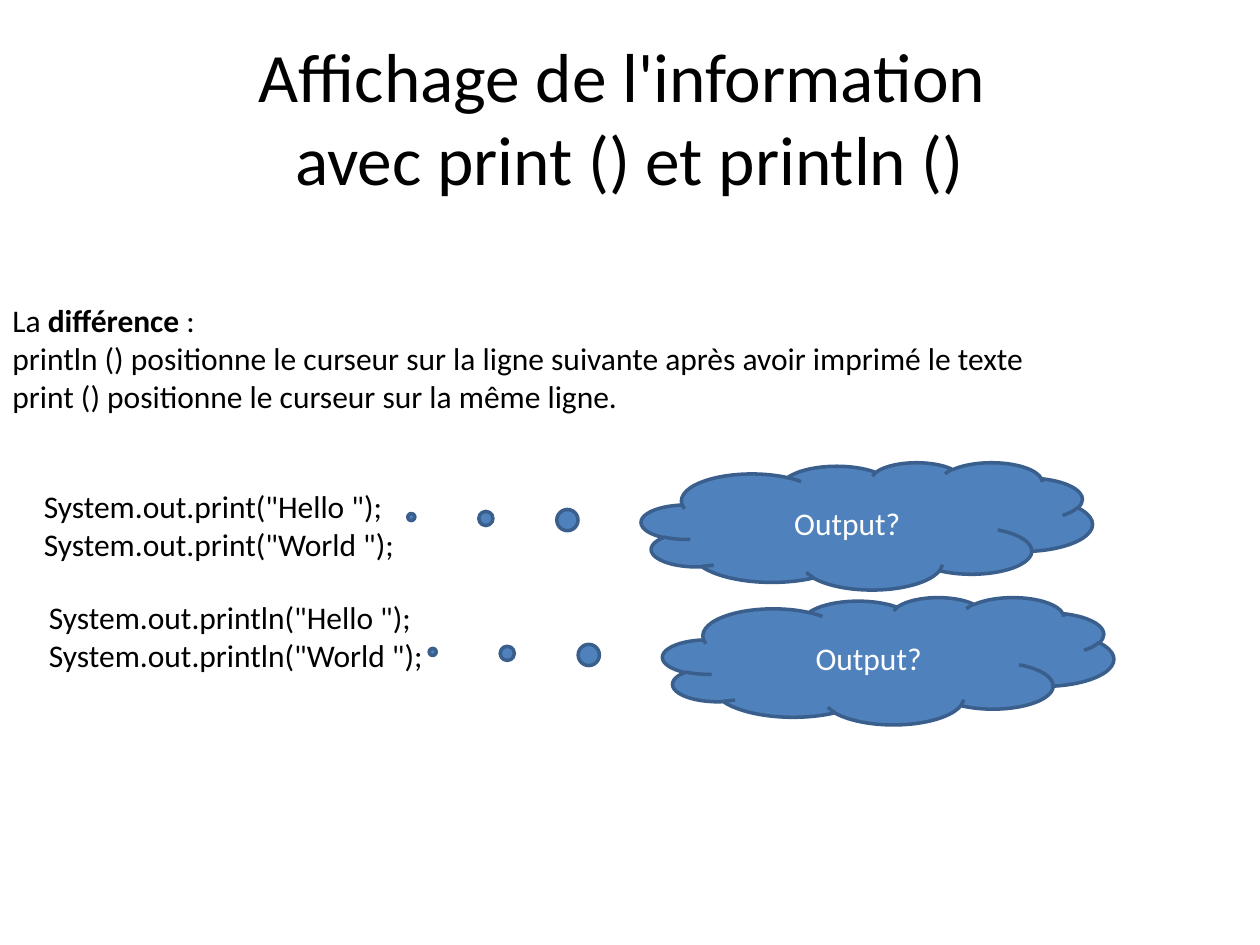
"""Build a slide that compares print and println."""
from pptx import Presentation
from pptx.dml.color import RGBColor as RGB
from pptx.enum.shapes import MSO_SHAPE as Kind
from pptx.enum.text import MSO_ANCHOR as Anchor, MSO_AUTO_SIZE as Auto, PP_ALIGN as Align
from pptx.util import Inches, Pt

BLACK = RGB(0, 0, 0)
WHITE = RGB(255, 255, 255)
BLUE = RGB(0x4F, 0x81, 0xBD)
NAVY = RGB(0x3A, 0x5F, 0x8C)


class Page:
    """Hold the style and the slide; lengths are percent of the slide."""

    font = "Calibri"
    size = 18

    def __init__(self, deck):
        self.deck = deck
        self.slide = deck.slides.add_slide(deck.slide_layouts[5])

    def area(self, left, top, width, height):
        wide, high = self.deck.slide_width, self.deck.slide_height
        return [int(part * side / 100) for part, side in
                zip((left, top, width, height), (wide, high, wide, high))]

    def style(self, frame, color=BLACK, size=size, align=Align.LEFT):
        frame.word_wrap = True
        for para in frame.paragraphs:
            para.alignment = align
            for run in para.runs:
                run.font.name = self.font
                run.font.size = Pt(size)
                run.font.color.rgb = color

    def title(self, text, *spot):
        head = self.slide.shapes.title
        head.left, head.top, head.width, head.height = self.area(*spot)
        frame = head.text_frame
        frame.text = text
        frame.vertical_anchor = Anchor.MIDDLE
        frame.auto_size = Auto.NONE
        self.style(frame, size=39.6, align=Align.CENTER)

    def text(self, text, *spot):
        frame = self.slide.shapes.add_textbox(*self.area(*spot)).text_frame
        frame.text = text
        frame.auto_size = Auto.SHAPE_TO_FIT_TEXT
        self.style(frame)
        return frame

    def lead(self, start, strong, end, *spot):
        frame = self.text(start, *spot)
        para = frame.paragraphs[0]
        bold = para.add_run()
        bold.text = strong
        bold.font.bold = True
        first, *rest = end
        para.add_run().text = first
        for line in rest:
            frame.add_paragraph().text = line
        self.style(frame)

    def cloud(self, text, *spot):
        shape = self.slide.shapes.add_shape(Kind.CLOUD_CALLOUT, *self.area(*spot))
        shape.adjustments[0] = -1.01
        shape.adjustments[1] = -0.07
        shape.shadow.inherit = False
        shape.fill.solid()
        shape.fill.fore_color.rgb = BLUE
        shape.line.color.rgb = NAVY
        shape.line.width = Pt(2)
        frame = shape.text_frame
        frame.text = text
        frame.vertical_anchor = Anchor.MIDDLE
        self.style(frame, WHITE, align=Align.CENTER)


deck = Presentation()
deck.slide_width, deck.slide_height = Inches(10), Inches(7.5)
page = Page(deck)
page.title("Affichage de l'information \vavec print () et println ()", 5, 4, 90, 16.67)
page.lead("La ", "différence", (
    " : ",
    "println () positionne le curseur sur la ligne suivante après avoir imprimé le texte ",
    "print () positionne le curseur sur la même ligne. ",
), 0, 31.2, 102.5, 13.47)

rows = (
    ("print", 2.5, 50.93, 33.3, 50.9, 48.93),
    ("println", 2.9, 62.67, 50, 52.6, 63.2),
)
for call, left, top, width, side, peak in rows:
    code = "\v".join(f'System.out.{call}("{word} ");' for word in ("Hello", "World"))
    page.text(code, left, top, width, 9.47)
    page.cloud("Output? ", side, peak, 35.8, 13.47)

deck.save("out.pptx")
